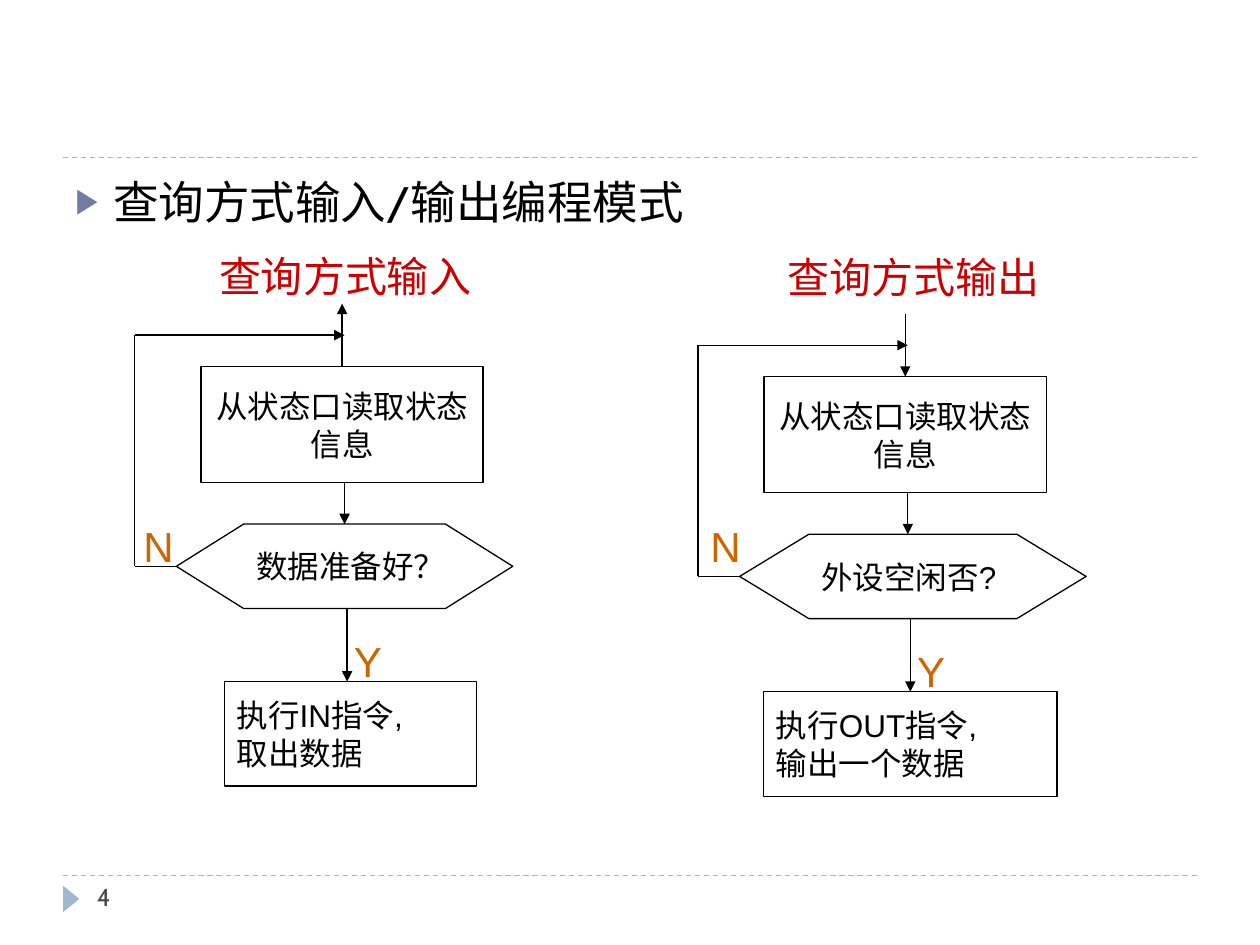
import pptx
import pptx.util
import pptx.dml.color
import pptx.enum.dml
import pptx.enum.shapes
import pptx.enum.text
import pptx.oxml
import pptx.oxml.ns

# The slide is a grid of 100 columns by 75 rows, each a tenth of an inch
COLUMNS, ROWS = 100, 75
BLACK, WHITE, RED, ORANGE = "000000", "FFFFFF", "CC0000", "CC6600"
PALE_BLUE, BULLET_BLUE, SLATE = "9FB8CD", "727CA3", "464653"
TOP, LEFT = 0, 1

Preset = pptx.enum.shapes.MSO_SHAPE
Anchor = pptx.enum.text.MSO_ANCHOR
Align = pptx.enum.text.PP_ALIGN


def grid(*cells):
    return [pptx.util.Inches(cell / 10) for cell in cells]


def color(hex_code):
    return pptx.dml.color.RGBColor.from_string(hex_code)


def add_xml(parent, tag, **attributes):
    element = pptx.oxml.parse_xml(f"<a:{tag} {pptx.oxml.ns.nsdecls('a')}/>")
    for name, value in attributes.items():
        element.set(name, value)
    parent.append(element)
    return element


def write(box, lines, size, font="Arial", ink=BLACK, align=None, wrap=False,
          anchor=Anchor.TOP):
    frame = box.text_frame
    frame.word_wrap = wrap
    frame.vertical_anchor = anchor
    for index, line in enumerate(lines):
        para = frame.add_paragraph() if index else frame.paragraphs[0]
        para.alignment = align or Align.LEFT
        span = para.add_run()
        span.text = line
        span.font.size = pptx.util.Pt(size)
        span.font.name = font
        span.font.color.rgb = color(ink)


def add_label(page, at, text, size, **style):
    box = page.shapes.add_textbox(*grid(*at))
    write(box, [text], size, **style)
    return box


def add_shape(page, preset, at, fill=None, line=None):
    shape = page.shapes.add_shape(preset, *grid(*at))
    shape.shadow.inherit = False
    if fill:
        shape.fill.solid()
        shape.fill.fore_color.rgb = color(fill)
    else:
        shape.fill.background()
    if line:
        shape.line.color.rgb = color(line)
        shape.line.width = pptx.util.Pt(0.75)
    else:
        shape.line.fill.background()
    return shape


def add_step(page, preset, at, lines, fill=WHITE, **style):
    step = add_shape(page, preset, at, fill, BLACK)
    write(step, lines, 18, anchor=Anchor.MIDDLE, **style)
    return step


def add_line(page, start, end, ink=BLACK, arrow=None, dashed=False):
    line = page.shapes.add_connector(
        pptx.enum.shapes.MSO_CONNECTOR.STRAIGHT, *grid(*start, *end))
    line.line.color.rgb = color(ink)
    line.line.width = pptx.util.Pt(0.75)
    if dashed:
        line.line.dash_style = pptx.enum.dml.MSO_LINE.DASH
    if arrow:
        add_xml(line.line._get_or_add_ln(), arrow, type="triangle")
    add_xml(line._element.spPr, "effectLst")
    return line


def add_frame(page):
    for row in (12.5, 69.5):
        add_line(page, (5, row), (COLUMNS - 5, row), PALE_BLUE, dashed=True)
    marker = add_shape(page, Preset.ISOSCELES_TRIANGLE,
                       (4.6, 70.7, 2.1, 1.3), PALE_BLUE)
    marker.rotation = 90
    add_label(page, (6.7, 69.5, 21.7, 4), "4", 14, font="Cabin", ink=SLATE,
              wrap=True)


def add_heading(page, text):
    box = add_label(page, (5, 13.3, 90, 54), text, 26, font="Cabin", wrap=True)
    para = box.text_frame.paragraphs[0]
    para.space_before = pptx.util.Pt(6)
    indent = grid(3)[0]
    properties = para._p.get_or_add_pPr()
    properties.set("marL", str(indent))
    properties.set("indent", str(-indent))
    bullet = add_xml(properties, "buClr")
    add_xml(bullet, "srgbClr", val=BULLET_BLUE)
    add_xml(properties, "buSzPct", val="76000")
    add_xml(properties, "buFont", typeface="Arial")
    add_xml(properties, "buChar", char="▶")


def add_flow(page, left, top, title, title_at, question, question_width,
             action, action_left, action_width, no_left, entry_arrow):
    """Polling loop: left is its return line, top the top of its first step."""
    read_left, read_width, read_height = left + 5.25, 22.4, 9.2
    decision_left, decision_top, decision_height = left + 3.3, top + 12.5, 6.7
    action_top = top + 25
    middle = read_left + read_width / 2
    loop_top = top - 2.5
    decision_middle = decision_top + decision_height / 2

    # Title and steps
    add_label(page, (*title_at, 22.3, 5.1), title, 24, ink=RED)
    read = add_step(page, Preset.RECTANGLE,
                    (read_left, top, read_width, read_height),
                    ["从状态口读取状态信息"], fill=None, font="Cabin",
                    align=Align.CENTER, wrap=True)
    decision = add_step(page, Preset.FLOWCHART_PREPARATION,
                        (decision_left, decision_top, question_width,
                         decision_height), [question])
    add_step(page, Preset.RECTANGLE,
             (action_left, action_top, action_width, 8.3), action)

    # Main path
    entry = add_line(page, (middle, top), (middle, top - 5), arrow=entry_arrow)
    entry.begin_connect(read, TOP)
    for column, start, end in (
            (left + 16.65, top + read_height, decision_top),
            (left + 16.85, decision_top + decision_height, action_top)):
        add_line(page, (column, start), (column, end), arrow="tailEnd")

    # Return path
    back = add_line(page, (decision_left, decision_middle),
                    (left, decision_middle))
    back.begin_connect(decision, LEFT)
    add_line(page, (left, decision_middle), (left, loop_top))
    add_line(page, (left, loop_top), (left + 16.65, loop_top), arrow="tailEnd")

    # Branch names
    add_label(page, (left + 16.4, top + 20.85, 4, 5.1), "Y", 24, ink=ORANGE)
    add_label(page, (no_left, 40.8, 4.7, 5.1), "N", 24, ink=ORANGE)


def main():
    deck = pptx.Presentation()
    deck.slide_width, deck.slide_height = grid(COLUMNS, ROWS)
    page = deck.slides.add_slide(deck.slide_layouts[6])
    add_frame(page)
    add_heading(page, "查询方式输入/输出编程模式")
    add_flow(page, left=10.7, top=29.1,
             title="查询方式输入", title_at=(16.4, 19.4),
             question="数据准备好？", question_width=26.7,
             action=["执行IN指令,", "取出数据"],
             action_left=17.8, action_width=20,
             no_left=10.4, entry_arrow="tailEnd")
    add_flow(page, left=55.4, top=29.9,
             title="查询方式输出", title_at=(61.5, 19.5),
             question="外设空闲否?", question_width=27.5,
             action=["执行OUT指令,", "输出一个数据"],
             action_left=60.6, action_width=23.3,
             no_left=55.4, entry_arrow="headEnd")
    deck.save("out.pptx")


if __name__ == "__main__":
    main()
